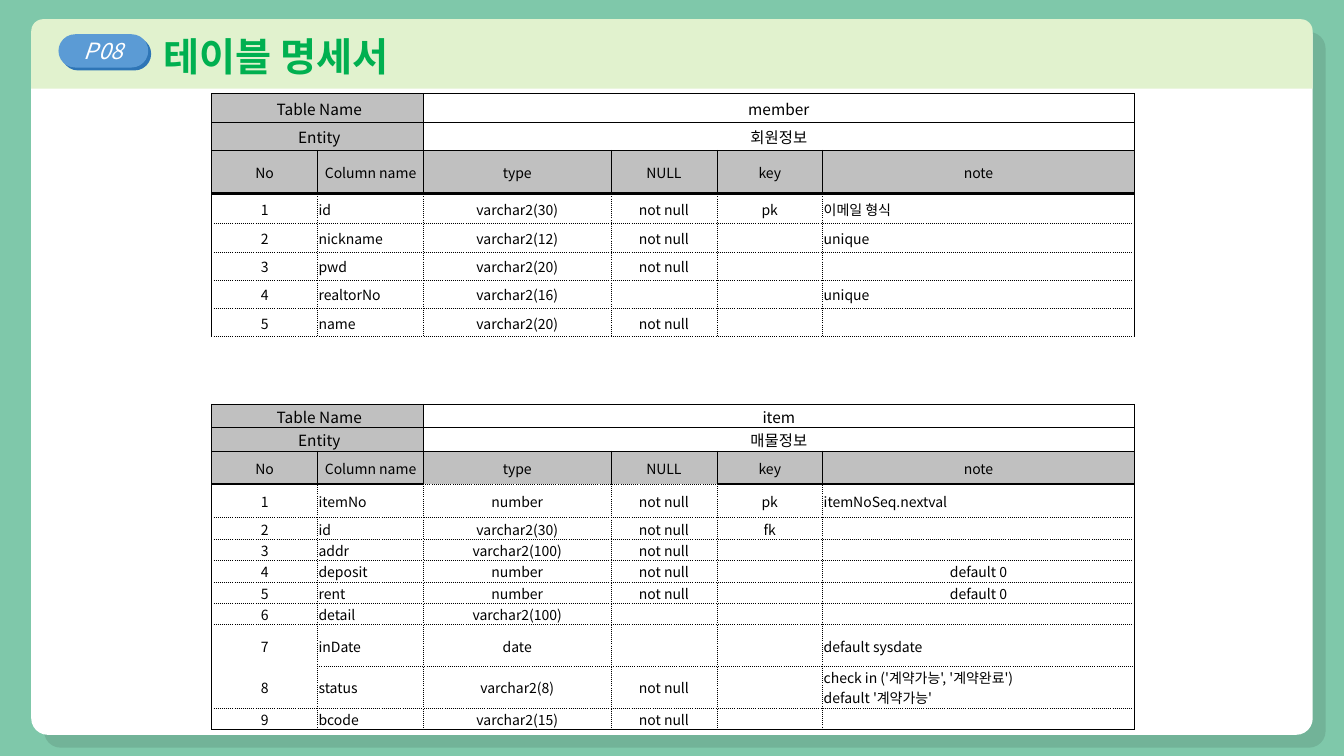
from dataclasses import dataclass

from lxml.etree import SubElement
from pptx import Presentation
from pptx.dml.color import RGBColor
from pptx.enum.shapes import MSO_SHAPE
from pptx.enum.text import MSO_ANCHOR, PP_ALIGN
from pptx.oxml.ns import qn
from pptx.util import Inches, Pt


@dataclass(frozen=True)
class Theme:
    font: str = "Noto Sans CJK KR"
    background: str = "7FC8AA"
    white: str = "FFFFFF"
    black: str = "000000"
    band: str = "E1F2CE"
    title: str = "00B050"
    badge: str = "5B9BD5"
    badge_edge: str = "2E75B6"
    heading: str = "C0C0C0"
    title_size: int = 28
    badge_size: int = 16
    name_size: int = 11
    body_size: int = 10


theme = Theme()


def write(text_frame, text, size=theme.body_size, color=theme.black,
          align=PP_ALIGN.CENTER, bold=False, italic=False):
    """Fill the frame; an empty text still keeps the given type size."""
    paragraph = text_frame.paragraphs[0]
    paragraph.alignment = align
    if not text:
        SubElement(paragraph._p, qn("a:endParaRPr"), sz=str(size * 100))
        return
    paragraph.text = text
    for run in paragraph.runs:
        font = run.font
        font.name, font.size, font.bold, font.italic = theme.font, Pt(size), bold, italic
        font.color.rgb = RGBColor.from_string(color)
        SubElement(run._r.get_or_add_rPr(), qn("a:ea"), typeface=theme.font)


def draw_border(cell, side, width, dash="solid"):
    line = SubElement(cell._tc.get_or_add_tcPr(), qn(f"a:ln{side}"), w=str(Pt(width)))
    if not width:
        SubElement(line, qn("a:noFill"))
        return
    fill = SubElement(line, qn("a:solidFill"))
    SubElement(fill, qn("a:srgbClr"), val=theme.black)
    SubElement(line, qn("a:prstDash"), val=dash)


presentation = Presentation()
presentation.slide_width = Inches(13.33)
presentation.slide_height = Inches(7.5)
slide = presentation.slides.add_slide(presentation.slide_layouts[6])
slide.background.fill.solid()
slide.background.fill.fore_color.rgb = RGBColor.from_string(theme.background)

# Panel, title band and page badge: preset, place, corner, fill, shadow (colour, percent, points)
panels = [
    (MSO_SHAPE.ROUNDED_RECTANGLE, (0.31, 0.19, 12.71, 7.1), 0.023, theme.white, (theme.black, 10, 13)),
    (MSO_SHAPE.ROUND_2_SAME_RECTANGLE, (0.31, 0.19, 12.71, 0.69), 0.17, theme.band, None),
    (MSO_SHAPE.ROUNDED_RECTANGLE, (0.58, 0.34, 0.89, 0.33), 0.5, theme.badge, (theme.badge_edge, 100, 3)),
]
shapes = []
for preset, place, corner, color, shadow in panels:
    shape = slide.shapes.add_shape(preset, *map(Inches, place))
    shape.adjustments[0] = corner
    shape.fill.solid()
    shape.fill.fore_color.rgb = RGBColor.from_string(color)
    shape.line.fill.background()
    shape.shadow.inherit = False
    if shadow:
        shadow_color, opacity, distance = shadow
        effects = shape._element.spPr.find(qn("a:effectLst"))
        outer = SubElement(effects, qn("a:outerShdw"), blurRad="0", dist=str(Pt(distance)),
                           dir=str(45 * 60000), algn="tl", rotWithShape="0")
        tint = SubElement(outer, qn("a:srgbClr"), val=shadow_color)
        SubElement(tint, qn("a:alpha"), val=str(opacity * 1000))
    shape.text_frame.vertical_anchor = MSO_ANCHOR.MIDDLE
    shapes.append(shape)

panel, title_band, badge = shapes
write(title_band.text_frame, "테이블 명세서", size=theme.title_size, color=theme.title,
      align=PP_ALIGN.LEFT, bold=True)
title_band.text_frame.paragraphs[0]._p.get_or_add_pPr().set("marL", str(Inches(1.18)))
write(badge.text_frame, "P08", size=theme.badge_size, color=theme.white, italic=True)

# Table specifications
column_widths = [1.05, 1.05, 1.86, 1.05, 1.05, 3.09]
column_names = ["No", "Column name", "type", "NULL", "key", "note"]
column_aligns = [PP_ALIGN.CENTER, PP_ALIGN.JUSTIFY] + [PP_ALIGN.CENTER] * 3 + [PP_ALIGN.LEFT]
heading_rows = 3
thin, thick, dotted, no_line = (0.5,), (2,), (0.5, "sysDot"), (0,)

specifications = [
    {
        "name": "member", "entity": "회원정보", "top": 0.93,
        "heights": [0.28, 0.28, 0.43, 0.3] + [0.28] * 4,
        "fields": [
            ("id", "varchar2(30)", "not null", "pk", "이메일 형식"),
            ("nickname", "varchar2(12)", "not null", "", "unique"),
            ("pwd", "varchar2(20)", "not null", "", ""),
            ("realtorNo", "varchar2(16)", "", "", "unique"),
            ("name", "varchar2(20)", "not null", "", ""),
        ],
        "bottom": dotted, "edge_exceptions": {},
    },
    {
        "name": "item", "entity": "매물정보", "top": 4.01,
        "heights": [0.23, 0.23, 0.33, 0.33, 0.22] + [0.21] * 4 + [0.42, 0.41, 0.21],
        "fields": [
            ("itemNo", "number", "not null", "pk", "itemNoSeq.nextval"),
            ("id", "varchar2(30)", "not null", "fk", ""),
            ("addr", "varchar2(100)", "not null", "", ""),
            ("deposit", "number", "not null", "", "default 0"),
            ("rent", "number", "not null", "", "default 0"),
            ("detail", "varchar2(100)", "", "", ""),
            ("inDate", "date", "", "", "default sysdate"),
            ("status", "varchar2(8)", "not null", "",
             "check in ('계약가능', '계약완료')\vdefault '계약가능'"),
            ("bcode", "varchar2(15)", "not null", "", ""),
        ],
        "bottom": thin,
        # (edge below this many rows, column): line
        "edge_exceptions": {(3, 2): dotted, (3, 3): dotted, (10, 0): no_line},
    },
]

for specification in specifications:
    heights = specification["heights"]
    last_edge = len(heights)
    rows = [
        [" Table Name", "", specification["name"], "", "", ""],
        [" Entity", "", specification["entity"], "", "", ""],
        column_names,
    ]
    rows += [(str(number), *field) for number, field in enumerate(specification["fields"], 1)]

    frame = slide.shapes.add_table(last_edge, len(column_widths), Inches(2.1),
                                   Inches(specification["top"]),
                                   Inches(sum(column_widths)), Inches(sum(heights)))
    table = frame.table
    table.first_row = table.horz_banding = False
    for column, width in zip(table.columns, column_widths):
        column.width = Inches(width)
    for row, height in zip(table.rows, heights):
        row.height = Inches(height)
    for row_index in range(2):
        table.cell(row_index, 0).merge(table.cell(row_index, 1))
        table.cell(row_index, 2).merge(table.cell(row_index, 5))

    for row_index, values in enumerate(rows):
        for column_index, text in enumerate(values):
            cell = table.cell(row_index, column_index)
            in_heading = row_index < heading_rows
            cell.margin_left = cell.margin_right = cell.margin_top = Inches(0.01)
            cell.margin_bottom = 0
            cell.vertical_anchor = MSO_ANCHOR.MIDDLE
            centered = in_heading or text == "default 0"
            write(cell.text_frame, text,
                  size=theme.name_size if row_index < 2 else theme.body_size,
                  align=PP_ALIGN.CENTER if centered else column_aligns[column_index])

            for side, edge in (("L", column_index), ("R", column_index + 1)):
                is_outer = edge in (0, len(column_widths))
                draw_border(cell, side, *(thin if in_heading or is_outer else dotted))
            for side, edge in (("T", row_index), ("B", row_index + 1)):
                if edge < heading_rows:
                    line = thin
                elif edge == heading_rows:
                    line = thick
                else:
                    line = specification["bottom"] if edge == last_edge else dotted
                line = specification["edge_exceptions"].get((edge, column_index), line)
                draw_border(cell, side, *line)

            if row_index == 2 or (in_heading and column_index < 2):
                cell.fill.solid()
                cell.fill.fore_color.rgb = RGBColor.from_string(theme.heading)
            else:
                cell.fill.background()

presentation.save("out.pptx")
